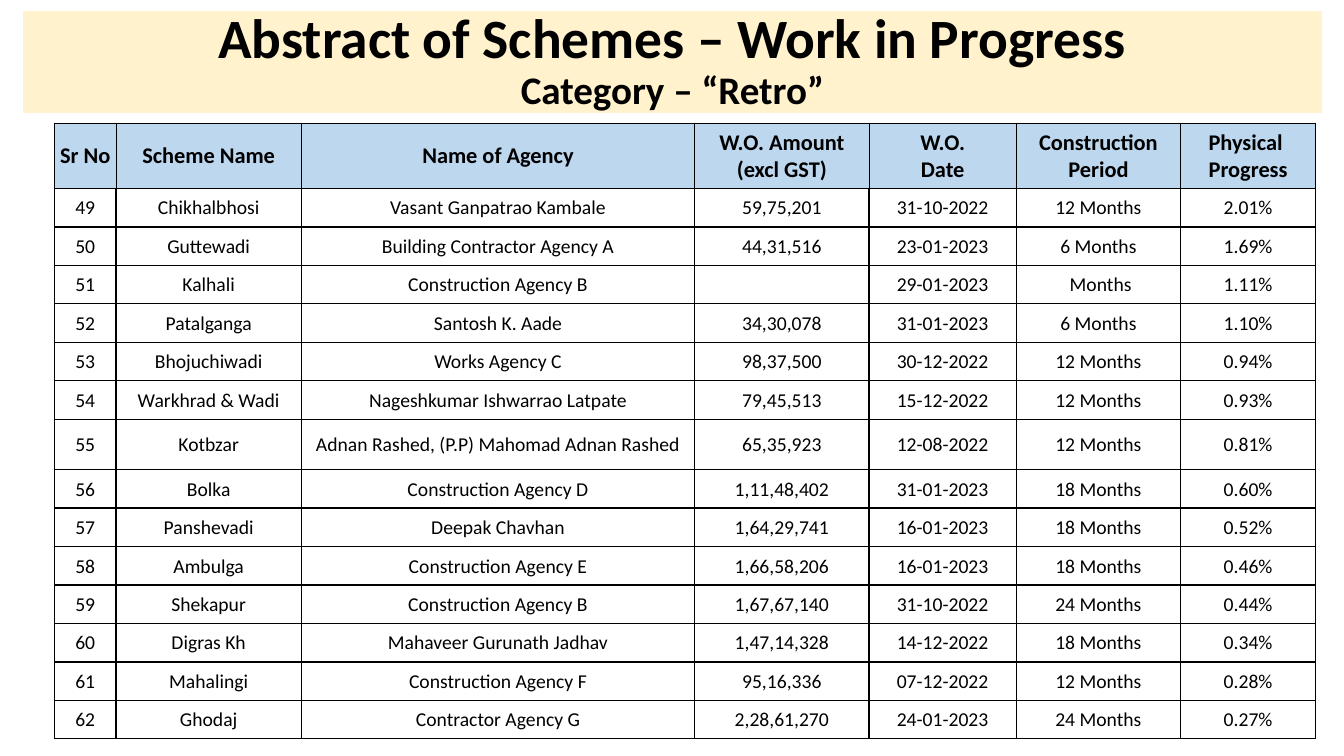
"""Build the work-in-progress slide for the Retro category of schemes."""
import pptx
import pptx.util
import pptx.dml.color
import pptx.enum.text
import lxml.etree

Inches, Pt = pptx.util.Inches, pptx.util.Pt
CENTER = pptx.enum.text.PP_ALIGN.CENTER
MIDDLE = pptx.enum.text.MSO_ANCHOR.MIDDLE
NS = "http://schemas.openxmlformats.org/drawingml/2006/main"
LEFT, WIDTH = 0.54, 12.51
COLS = [0.61, 1.84, 3.9, 1.73, 1.46, 1.63, 1.34]
HEADER_TOP, HEADER_H = 1.22, 0.65
BODY_H, TALL_ROW, TALL_H = 5.46, 6, 0.5

HEADER = [["Sr No", "Scheme Name", "Name of Agency", "W.O. Amount\v(excl GST)",
           "W.O.\vDate", "Construction\vPeriod", "Physical \nProgress"]]
SCHEMES = [
    ["49", "Chikhalbhosi", "Vasant Ganpatrao Kambale", "59,75,201", "31-10-2022", "12 Months", "2.01%"],
    ["50", "Guttewadi", "Building Contractor Agency A", "44,31,516", "23-01-2023", "6 Months", "1.69%"],
    ["51", "Kalhali", "Construction Agency B", "", "29-01-2023", " Months", "1.11%"],
    ["52", "Patalganga", "Santosh K. Aade", "34,30,078", "31-01-2023", "6 Months", "1.10%"],
    ["53", "Bhojuchiwadi", "Works Agency C", "98,37,500", "30-12-2022", "12 Months", "0.94%"],
    ["54", "Warkhrad & Wadi", "Nageshkumar Ishwarrao Latpate", "79,45,513", "15-12-2022", "12 Months", "0.93%"],
    ["55", "Kotbzar", "Adnan Rashed, (P.P) Mahomad Adnan Rashed", "65,35,923", "12-08-2022", "12 Months", "0.81%"],
    ["56", "Bolka", "Construction Agency D", "1,11,48,402", "31-01-2023", "18 Months", "0.60%"],
    ["57", "Panshevadi", "Deepak Chavhan", "1,64,29,741", "16-01-2023", "18 Months", "0.52%"],
    ["58", "Ambulga", "Construction Agency E", "1,66,58,206", "16-01-2023", "18 Months", "0.46%"],
    ["59", "Shekapur", "Construction Agency B", "1,67,67,140", "31-10-2022", "24 Months", "0.44%"],
    ["60", "Digras Kh", "Mahaveer Gurunath Jadhav", "1,47,14,328", "14-12-2022", "18 Months", "0.34%"],
    ["61", "Mahalingi", "Construction Agency F", "95,16,336", "07-12-2022", "12 Months", "0.28%"],
    ["62", "Ghodaj", "Contractor Agency G", "2,28,61,270", "24-01-2023", "24 Months", "0.27%"],
]


def color(hex_code):
    return pptx.dml.color.RGBColor.from_string(hex_code)


def style(p, size, bold):
    p.alignment = CENTER
    for r in p.runs:
        r.font.name, r.font.size, r.font.bold = "Calibri", Pt(size), bold
        r.font.color.rgb = color("000000")


prs = pptx.Presentation()
prs.slide_width, prs.slide_height = Inches(13.33), Inches(7.5)
s = prs.slides.add_slide(prs.slide_layouts[5])

title = s.shapes.title
title.left, title.top, title.width, title.height = map(Inches, (0.23, 0.11, 12.88, 1.01))
title.fill.solid()
title.fill.fore_color.rgb = color("FFF2CC")
tf = title.text_frame
tf.auto_size = pptx.enum.text.MSO_AUTO_SIZE.NONE
tf.vertical_anchor = MIDDLE
p = tf.paragraphs[0]
p.text = "Abstract of Schemes – Work in Progress\vCategory – “Retro”"
p.line_spacing = 0.9
style(p, 39.6, True)
p.runs[1].font.size = Pt(27.9)

row_h = (BODY_H - TALL_H) / (len(SCHEMES) - 1)
body_heights = [TALL_H if i == TALL_ROW else row_h for i in range(len(SCHEMES))]
tables = [
    (HEADER, HEADER_TOP, [HEADER_H], 16, True, "BDD7EE", 0.5),
    (SCHEMES, HEADER_TOP + HEADER_H, body_heights, 14, False, None, 1),
]
for rows, top, heights, size, bold, fill, line in tables:
    frame = s.shapes.add_table(len(rows), len(COLS), Inches(LEFT), Inches(top),
                               Inches(WIDTH), Inches(sum(heights)))
    tbl = frame.table
    tbl.first_row = tbl.horz_banding = False
    for col, width in zip(tbl.columns, COLS):
        col.width = Inches(width)
    for row, height, texts in zip(tbl.rows, heights, rows):
        row.height = Inches(height)
        for cell, text in zip(row.cells, texts):
            cell.text_frame.text = text
            cell.vertical_anchor = MIDDLE
            cell.margin_left = cell.margin_right = cell.margin_top = Inches(0.01)
            cell.margin_bottom = 0
            for p in cell.text_frame.paragraphs:
                style(p, size, bold)
            tcPr = cell._tc.get_or_add_tcPr()
            for side, width in zip("LRTB", (line, line, line, 1)):
                ln = lxml.etree.SubElement(tcPr, f"{{{NS}}}ln{side}", w=str(Pt(width)))
                paint = lxml.etree.SubElement(ln, f"{{{NS}}}solidFill")
                lxml.etree.SubElement(paint, f"{{{NS}}}srgbClr", val="000000")
            if fill:
                cell.fill.solid()
                cell.fill.fore_color.rgb = color(fill)
            else:
                cell.fill.background()

prs.save("out.pptx")
